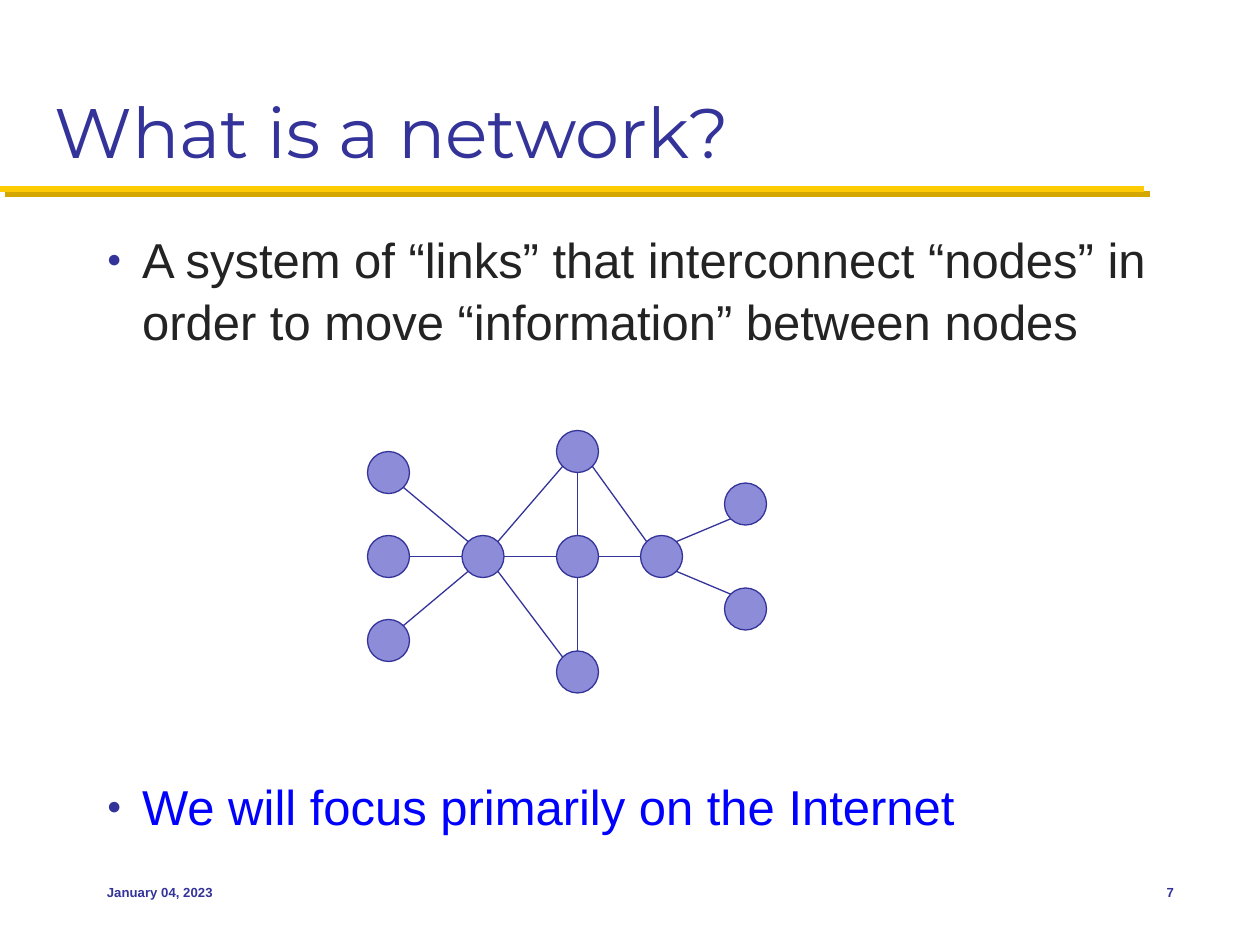
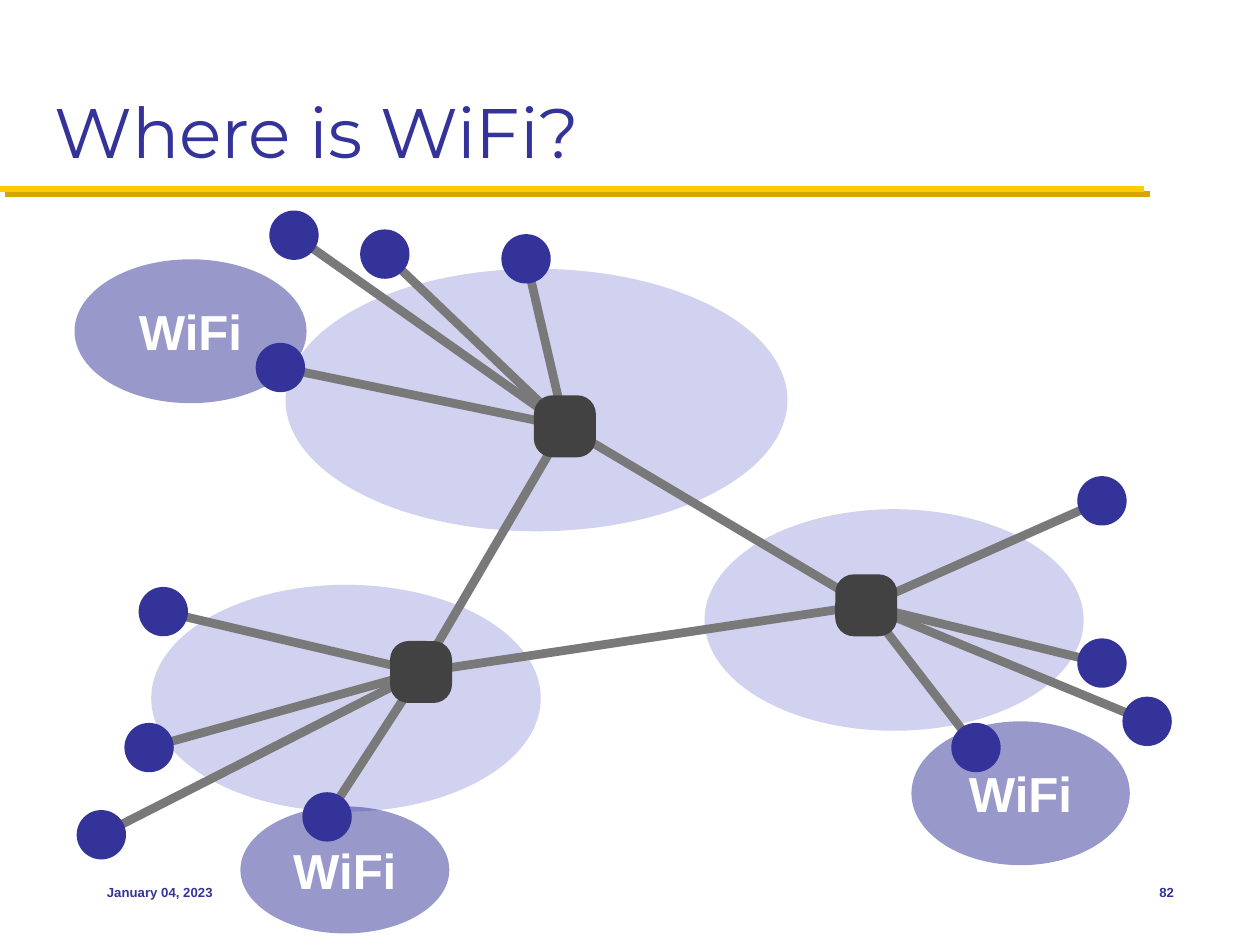
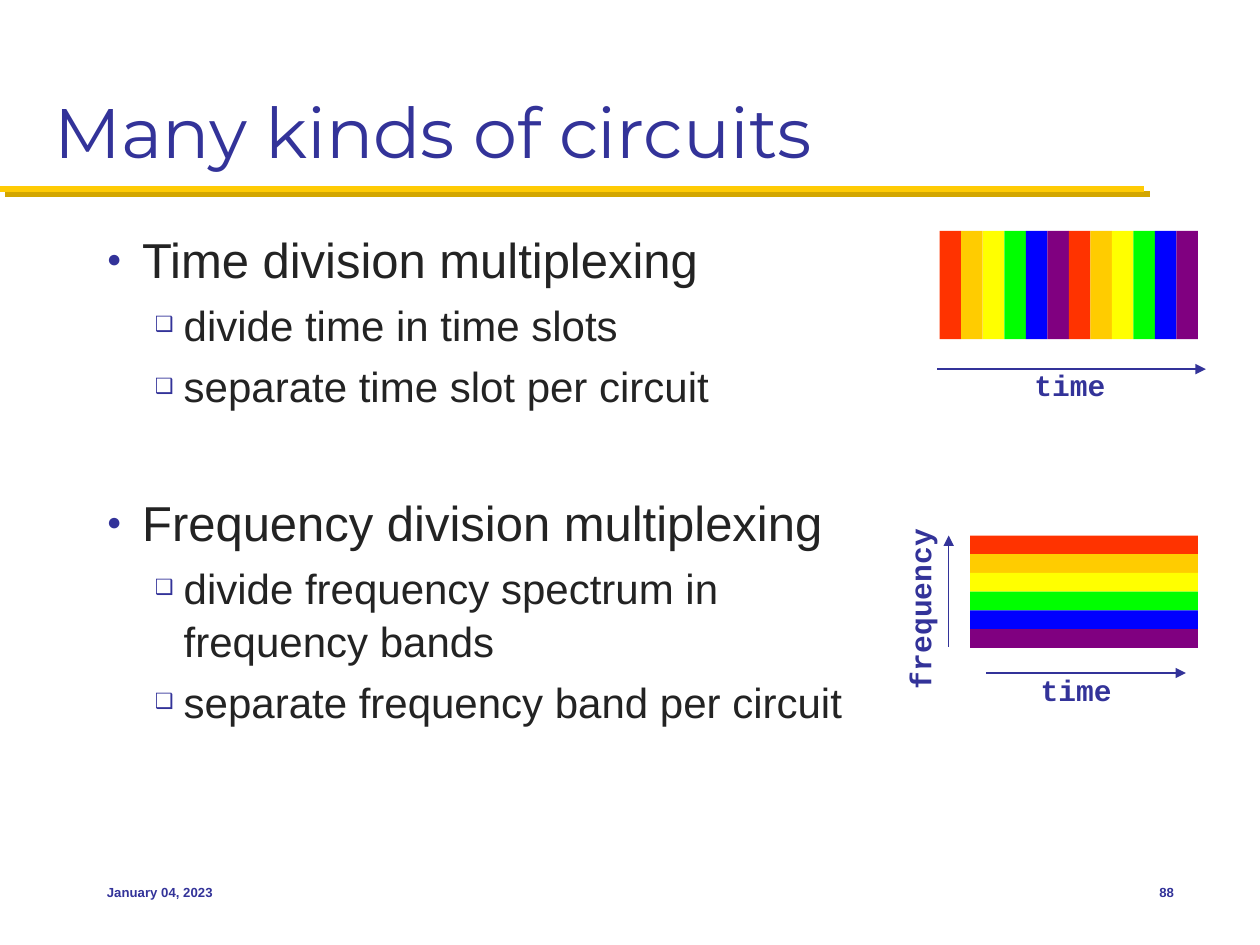
from math import atan2, cos, pi, sin

from lxml.etree import SubElement
from pptx import Presentation
from pptx.dml.color import RGBColor
from pptx.enum.shapes import MSO_CONNECTOR, MSO_SHAPE
from pptx.enum.text import MSO_ANCHOR as Anchor, PP_ALIGN as Align
from pptx.oxml.ns import qn
from pptx.util import Inches, Pt

# The slide is a grid of 120 columns by 90 rows with square cells.
CELL = Inches(10) / 120

INDIGO = RGBColor(0x33, 0x33, 0x99)
LAVENDER = RGBColor(0x8C, 0x8C, 0xD9)
PALE_LAVENDER = RGBColor(0xD1, 0xD1, 0xF0)
GOLD = RGBColor(0xFF, 0xCB, 0x05)
DARK_GOLD = RGBColor(0xD3, 0xA6, 0x00)
INK = RGBColor(0x23, 0x23, 0x23)
GREY = RGBColor(0x79, 0x79, 0x79)
CHARCOAL = RGBColor(0x42, 0x42, 0x42)
WHITE = RGBColor(0xFF, 0xFF, 0xFF)
BLUE = RGBColor(0x00, 0x00, 0xFF)
CIRCUIT_COLORS = [
    RGBColor(0xFF, 0x33, 0x00), RGBColor(0xFF, 0xCC, 0x00),
    RGBColor(0xFF, 0xFF, 0x00), RGBColor(0x00, 0xFF, 0x00),
    BLUE, RGBColor(0x80, 0x00, 0x80),
]

DATE = "January 04, 2023"
# Per outline level: bullet, text size, left indent and hanging indent in inches
LEVELS = [("●", 28, 0.28, 0.28), ("❑", 24, 0.61, 0.23)]


def cells(*counts):
    return [round(count * CELL) for count in counts]


def set_font(paragraph, name, size, color, bold=False):
    font = paragraph.font
    font.name, font.size, font.bold = name, Pt(size), bold
    font.color.rgb = color


def add_text(slide, area, text, font, align=Align.LEFT, anchor=Anchor.TOP, wrap=False):
    """Add a one-paragraph box; font is (name, size, color[, bold])."""
    box = slide.shapes.add_textbox(*cells(*area))
    frame = box.text_frame
    frame.word_wrap, frame.vertical_anchor = wrap, anchor
    paragraph = frame.paragraphs[0]
    paragraph.text, paragraph.alignment = text, align
    set_font(paragraph, *font)
    return box


def add_figure(slide, preset, area, fill, outline=None):
    figure = slide.shapes.add_shape(preset, *cells(*area))
    figure.shadow.inherit = False
    figure.fill.solid()
    figure.fill.fore_color.rgb = fill
    if outline is None:
        figure.line.fill.background()
    else:
        figure.line.color.rgb = outline
        figure.line.width = Pt(0.75)
    return figure


def add_centred(slide, preset, centre, size, fill, outline=None):
    x, y = centre
    area = (x - size / 2, y - size / 2, size, size)
    return add_figure(slide, preset, area, fill, outline)


def add_line(slide, start, end, color=INDIGO, width=0.75, arrow=False):
    """Add a line and return its effect list, which is empty."""
    line = slide.shapes.add_connector(MSO_CONNECTOR.STRAIGHT, *cells(*start, *end))
    line.line.color.rgb = color
    line.line.width = Pt(width)
    if arrow:
        SubElement(line.line._get_or_add_ln(), qn("a:tailEnd"), type="triangle")
    return SubElement(line._element.spPr, qn("a:effectLst"))


def add_title_rule(slide):
    effects = add_line(slide, (0, 18), (109, 18), GOLD, 3.5)
    shadow = SubElement(effects, qn("a:outerShdw"), blurRad="0",
                        dist=str(Pt(4.2)), dir="2700000", algn="ctr", rotWithShape="0")
    SubElement(shadow, qn("a:srgbClr"), val=str(DARK_GOLD))


def add_framed_slide(deck, title, number):
    """Add a slide with the title, gold rule, date and number all slides share."""
    slide = deck.slides.add_slide(deck.slide_layouts[6])
    add_title_rule(slide)
    add_text(slide, (4, 2, 112, 15), title, ("Montserrat", 40, INDIGO),
             anchor=Anchor.BOTTOM, wrap=True)
    footer_font = ("Arial", 7.5, INDIGO, True)
    add_text(slide, (9, 82, 25, 6), DATE, footer_font, anchor=Anchor.MIDDLE)
    add_text(slide, (105, 82, 8, 6), str(number), footer_font, Align.RIGHT, Anchor.MIDDLE)
    return slide


def add_bullet(paragraph, mark, left, hanging):
    props = paragraph._p.get_or_add_pPr()
    props.set("marL", str(Inches(left)))
    props.set("indent", str(-Inches(hanging)))
    color = SubElement(props, qn("a:buClr"))
    SubElement(color, qn("a:srgbClr"), val=str(INDIGO))
    SubElement(props, qn("a:buSzPct"), val="50000")
    SubElement(props, qn("a:buFont"), typeface="Arial")
    SubElement(props, qn("a:buChar"), char=mark)


def add_outline(slide, items):
    """Add the body text; each item is (level, text, points before, color)."""
    frame = slide.shapes.add_textbox(*cells(9, 21, 104, 58)).text_frame
    frame.word_wrap = True
    for index, (level, text, before, color) in enumerate(items):
        paragraph = frame.add_paragraph() if index else frame.paragraphs[0]
        mark, size, left, hanging = LEVELS[level]
        paragraph.text, paragraph.level = text, level
        add_bullet(paragraph, mark, left, hanging)
        paragraph.line_spacing = 1.05
        paragraph.space_before = Pt(before)
        set_font(paragraph, "Arial", size, color)


def rim_point(centre, target, radius):
    """Point on a circle facing the target, snapped to the eight compass directions."""
    (x, y), (target_x, target_y) = centre, target
    angle = round(atan2(target_y - y, target_x - x) / (pi / 4)) * pi / 4
    return x + radius * cos(angle), y + radius * sin(angle)


def build_network(deck):
    slide = add_framed_slide(deck, "What is a network?", 7)
    add_outline(slide, [
        (0, "A system of “links” that interconnect “nodes” in order to move "
            "“information” between nodes", 0, INK),
        (0, "We will focus primarily on the Internet", 242, BLUE),
    ])
    nodes = {
        "source top": (37, 45), "source middle": (37, 53), "source bottom": (37, 61),
        "left hub": (46, 53), "top": (55, 43), "centre": (55, 53), "bottom": (55, 64),
        "right hub": (63, 53), "sink top": (71, 48), "sink bottom": (71, 58),
    }
    links = [
        ("source top", "left hub"), ("source middle", "left hub"),
        ("source bottom", "left hub"), ("left hub", "top"), ("left hub", "centre"),
        ("left hub", "bottom"), ("top", "centre"), ("centre", "bottom"),
        ("centre", "right hub"), ("top", "right hub"),
        ("right hub", "sink top"), ("right hub", "sink bottom"),
    ]
    diameter = 4
    for centre in nodes.values():
        add_centred(slide, MSO_SHAPE.OVAL, centre, diameter, LAVENDER, INDIGO)
    for first, second in links:
        a, b = nodes[first], nodes[second]
        add_line(slide, rim_point(a, b, diameter / 2), rim_point(b, a, diameter / 2))


def add_wifi_zone(slide, area):
    zone = add_figure(slide, MSO_SHAPE.OVAL, area, INDIGO)
    color = zone._element.spPr.find(qn("a:solidFill"))[0]
    SubElement(color, qn("a:alpha"), val="50000")
    frame = zone.text_frame
    frame.margin_left = frame.margin_right = frame.margin_top = frame.margin_bottom = 0
    frame.word_wrap, frame.vertical_anchor = False, Anchor.MIDDLE
    label = frame.paragraphs[0]
    label.text, label.alignment = "WiFi", Align.CENTER
    set_font(label, "Arial", 28.1, WHITE, True)


def build_wifi(deck):
    slide = add_framed_slide(deck, "Where is WiFi?", 82)
    # Each network: its area, its router and its hosts
    networks = [
        ((67.1, 48.5, 36.1, 21.1), (82.5, 57.65),
         [(104.95, 47.7), (104.95, 63.15), (109.25, 68.7), (92.95, 71.2)]),
        ((27.2, 25.6, 47.8, 25), (53.8, 40.6),
         [(26.7, 35), (28, 22.4), (36.65, 24.2), (50.1, 24.65)]),
        ((14.4, 55.7, 37.1, 21.6), (40.1, 64),
         [(15.55, 58.25), (14.2, 71.2), (9.65, 79.5), (31.15, 77.8)]),
    ]
    routers = [router for _, router, _ in networks]
    for area, _, _ in networks:
        add_figure(slide, MSO_SHAPE.OVAL, area, PALE_LAVENDER)
    for _, router, hosts in networks:
        for host in hosts:
            add_line(slide, host, router, GREY, 5)
            add_centred(slide, MSO_SHAPE.OVAL, host, 4.7, INDIGO)
    for index, router in enumerate(routers):
        add_line(slide, routers[index - 1], router, GREY, 5)
    for router in routers:
        box = add_centred(slide, MSO_SHAPE.ROUNDED_RECTANGLE, router, 5.9, CHARCOAL)
        box.adjustments[0] = 0.3
    for area in [(22.9, 76.8, 19.9, 12.1), (86.8, 68.7, 20.8, 13.7), (7.1, 24.7, 22.1, 13.7)]:
        add_wifi_zone(slide, area)


def add_axis(slide, start, end):
    add_line(slide, start, end, arrow=True)


def add_axis_label(slide, area, text):
    return add_text(slide, area, text, ("Courier New", 16.9, INDIGO, True), Align.CENTER)


def add_stripes(slide, area, colors, stacked=False):
    """Split an area into equal stripes, side by side or stacked."""
    left, top, width, height = area
    for index, color in enumerate(colors):
        if stacked:
            step = height / len(colors)
            stripe = (left, top + index * step, width, step)
        else:
            step = width / len(colors)
            stripe = (left + index * step, top, step, height)
        add_figure(slide, MSO_SHAPE.RECTANGLE, stripe, color)


def build_circuits(deck):
    slide = add_framed_slide(deck, "Many kinds of circuits", 88)
    add_outline(slide, [
        (0, "Time division multiplexing", 0, INK),
        (1, "divide time in time slots", 4.8, INK),
        (1, "separate time slot per circuit", 4.8, INK),
        (0, "Frequency division multiplexing", 45, INK),
        (1, "divide frequency spectrum in\vfrequency bands", 4.8, INK),
        (1, "separate frequency band per circuit", 4.8, INK),
    ])
    add_stripes(slide, (89.5, 22, 24.6, 10.3), CIRCUIT_COLORS * 2)
    add_axis(slide, (89.25, 35.15), (114.85, 35.15))
    add_axis_label(slide, (97.3, 34.4, 9.2, 4.6), "time")

    add_stripes(slide, (92.4, 51, 21.7, 10.7), CIRCUIT_COLORS, stacked=True)
    add_axis(slide, (90.35, 61.6), (90.35, 51))
    add_axis(slide, (93.95, 64.1), (112.95, 64.1))
    add_axis_label(slide, (97.9, 63.4, 9.2, 4.6), "time")
    add_axis_label(slide, (78.7, 55.7, 17.8, 4.6), "frequency").rotation = 270


def main():
    deck = Presentation()
    deck.slide_width, deck.slide_height = cells(120, 90)
    build_network(deck)
    build_wifi(deck)
    build_circuits(deck)
    deck.save("out.pptx")


if __name__ == "__main__":
    main()
